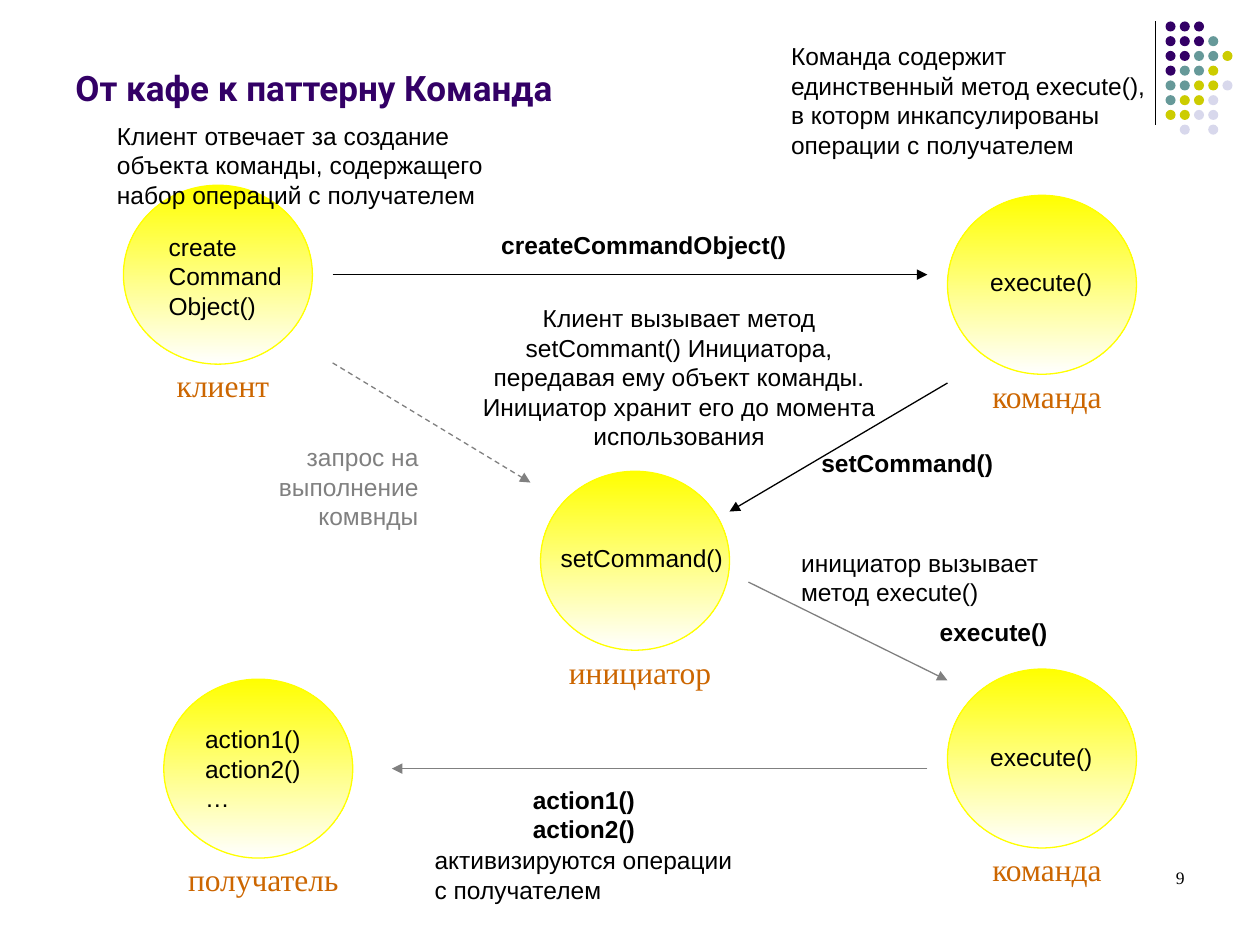
from lxml import etree
from pptx import Presentation
from pptx.dml.color import RGBColor
from pptx.enum.dml import MSO_LINE
from pptx.enum.shapes import MSO_CONNECTOR, MSO_SHAPE
from pptx.enum.text import MSO_ANCHOR, PP_ALIGN
from pptx.oxml.ns import qn
from pptx.util import Inches, Pt

LEFT, CENTER, RIGHT = PP_ALIGN.LEFT, PP_ALIGN.CENTER, PP_ALIGN.RIGHT
TOP, BOTTOM = MSO_ANCHOR.TOP, MSO_ANCHOR.BOTTOM
OVAL, STRAIGHT, DASH = MSO_SHAPE.OVAL, MSO_CONNECTOR.STRAIGHT, MSO_LINE.DASH

BLACK = RGBColor(0x00, 0x00, 0x00)
WHITE = RGBColor(0xFF, 0xFF, 0xFF)
GRAY = RGBColor(0x80, 0x80, 0x80)
YELLOW = RGBColor(0xFF, 0xFF, 0x00)
ORANGE = RGBColor(0xCC, 0x66, 0x00)
PURPLE = RGBColor(0x33, 0x00, 0x66)
TEAL = RGBColor(0x66, 0x99, 0x99)
OLIVE = RGBColor(0xCC, 0xCC, 0x00)
LILAC = RGBColor(0xD8, 0xD8, 0xEC)

# The slide is a grid of 100 columns by 75 rows of square cells
COLUMNS, ROWS = 100, 75
CELL = Inches(0.1)

# Text formats
BODY = {"name": "Arial", "size": Pt(14), "bold": False}
CALL = {**BODY, "bold": True}
ROLE = {"name": "Times New Roman", "size": Pt(18)}
TITLE = {"name": "Roboto", "size": Pt(20), "bold": True}
NUMBER = {"name": "Times New Roman", "size": Pt(10)}

# Corner ornament: one letter per dot
DOT_COLORS = {"P": PURPLE, "T": TEAL, "O": OLIVE, "L": LILAC}
DOT_ROWS = ["PPP", "PPPT", "PPTTO", "PTTO", "TTOOL", "TOOL", "OOLL", "-L-L"]
DOT_SIZE, DOT_STEP_X, DOT_STEP_Y = 0.8, 1.13, 1.17

# Participants: column, row, role, methods, offset and size of methods, alignment
CIRCLE_WIDTH, CIRCLE_HEIGHT = 15, 14.2
PARTICIPANTS = [
    (75.2, 15.5, "команда", "execute()", (2.4, 5.2, 10.1, 3.4), CENTER),
    (9.8, 14.7, "клиент", "create\nCommand\nObject()", (2.6, 3.2, 11, 8), LEFT),
    (42.9, 37.4, "инициатор", "setCommand()", (0.6, 5.2, 14.9, 3.4), LEFT),
    (13, 53.9, "получатель", "action1()\naction2()\n…", (2.3, 3.1, 9.6, 8), LEFT),
    (75.2, 53.1, "команда", "execute()", (2.4, 5.3, 10.1, 3.4), CENTER),
]

# Arrows: start, end, colour, dash
ARROWS = [
    ((26.4, 21.8), (73.6, 21.8), BLACK, None),
    ((26.4, 28.8), (42.1, 38.3), GRAY, DASH),
    ((59.4, 46.2), (75.2, 54), GRAY, None),
    ((73.6, 61), (31.1, 61), GRAY, None),
    ((75.2, 30.4), (57.9, 40.6), BLACK, None),
]

# Explanations: text, box, alignment, colour
EXPLANATIONS = [
    ("Клиент отвечает за создание объекта команды, содержащего "
     "набор операций с получателем", (8.3, 9.1, 31.5, 8), LEFT, BLACK),
    ("Команда содержит единственный метод execute(), в которм "
     "инкапсулированы операции с получателем",
     (61.8, 2.8, 31.5, 10.4), LEFT, BLACK),
    ("Клиент вызывает метод setCommant() Инициатора, передавая ему объект "
     "команды.\nИнициатор хранит его до момента использования",
     (35.8, 23.6, 36.2, 12.7), CENTER, BLACK),
    ("активизируются операции\nс получателем",
     (33.5, 66.6, 26.8, 5.7), LEFT, BLACK),
    ("инициатор вызывает метод execute()",
     (62.6, 43, 22.1, 5.7), LEFT, BLACK),
    ("запрос на выполнение комвнды", (17.7, 34.6, 16.5, 8), RIGHT, GRAY),
]

# Calls written beside the arrows
CALLS = [
    ("setCommand()", (64.2, 35.1, 18.1, 3.4)),
    ("createCommandObject()", (38.8, 17.8, 27.6, 3.4)),
    ("execute()", (73.6, 48.5, 18.1, 3.4)),
    ("action1()\naction2()", (41.3, 61.8, 18.1, 5.7)),
]


def cells(*counts):
    return [round(count * CELL) for count in counts]


def add_text(shapes, text, box, style, color=BLACK, align=LEFT,
             anchor=TOP, wrap=True, side_margin=1):
    frame = shapes.add_textbox(*cells(*box)).text_frame
    frame.word_wrap = wrap
    frame.vertical_anchor = anchor
    frame.margin_left, frame.margin_right = cells(side_margin, side_margin)
    paragraph = frame.paragraphs[0]
    paragraph.text = text
    paragraph.alignment = align
    for run in paragraph.runs:
        for attribute, value in style.items():
            setattr(run.font, attribute, value)
        run.font.color.rgb = color


def add_circle(shapes, box):
    circle = shapes.add_shape(OVAL, *cells(*box))
    circle.shadow.inherit = False
    return circle


def add_participant(shapes, column, row, role, methods, offset, align):
    group = shapes.add_group_shape().shapes
    circle = add_circle(group, (column, row, CIRCLE_WIDTH, CIRCLE_HEIGHT))
    circle.fill.gradient()
    circle.fill.gradient_angle = 270
    for stop, color in zip(circle.fill.gradient_stops, (YELLOW, WHITE)):
        stop.color.rgb = color
    circle.line.color.rgb = YELLOW
    circle.line.width = Pt(0.75)
    # The longest role needs the full width of its box
    add_text(group, role, (column + 1.6, row + 13.9, 12.6, 3.6), ROLE,
             ORANGE, CENTER, wrap=False, side_margin=0)
    dx, dy, width, height = offset
    add_text(group, methods, (column + dx, row + dy, width, height), BODY,
             align=align, wrap=False)


def add_line(shapes, start, end, color, dash=None, arrow=True):
    connector = shapes.add_connector(STRAIGHT, *cells(*start, *end))
    connector.line.color.rgb = color
    connector.line.width = Pt(0.75)
    if dash:
        connector.line.dash_style = dash
    if arrow:
        outline = connector.line._get_or_add_ln()
        etree.SubElement(outline, qn("a:tailEnd"), type="triangle")
    etree.SubElement(connector._element.spPr, qn("a:effectLst"))


def add_ornament(shapes):
    add_line(shapes, (91.7, 1.7), (91.7, 9.9), BLACK, arrow=False)
    dots = shapes.add_group_shape().shapes
    for row, letters in enumerate(DOT_ROWS):
        for column, letter in enumerate(letters):
            if letter not in DOT_COLORS:
                continue
            dot = add_circle(dots, (92.5 + column * DOT_STEP_X,
                                    1.7 + row * DOT_STEP_Y,
                                    DOT_SIZE, DOT_SIZE))
            dot.fill.solid()
            dot.fill.fore_color.rgb = DOT_COLORS[letter]
            dot.line.fill.background()


def main():
    deck = Presentation()
    deck.slide_width, deck.slide_height = cells(COLUMNS, ROWS)
    shapes = deck.slides.add_slide(deck.slide_layouts[6]).shapes

    # Ornament and title
    add_ornament(shapes)
    add_text(shapes, "От кафе к паттерну Команда", (5, 1.3, 86, 7.8), TITLE,
             PURPLE, anchor=BOTTOM)

    # Diagram
    for participant in PARTICIPANTS:
        add_participant(shapes, *participant)
    for arrow in ARROWS:
        add_line(shapes, *arrow)

    # Explanations and calls
    for text, box, align, color in EXPLANATIONS:
        add_text(shapes, text, box, BODY, color, align)
    for text, box in CALLS:
        add_text(shapes, text, box, CALL)

    # Page number
    add_text(shapes, "9", (71.7, 68.3, 23.3, 5), NUMBER, align=RIGHT)

    deck.save("out.pptx")


if __name__ == "__main__":
    main()
